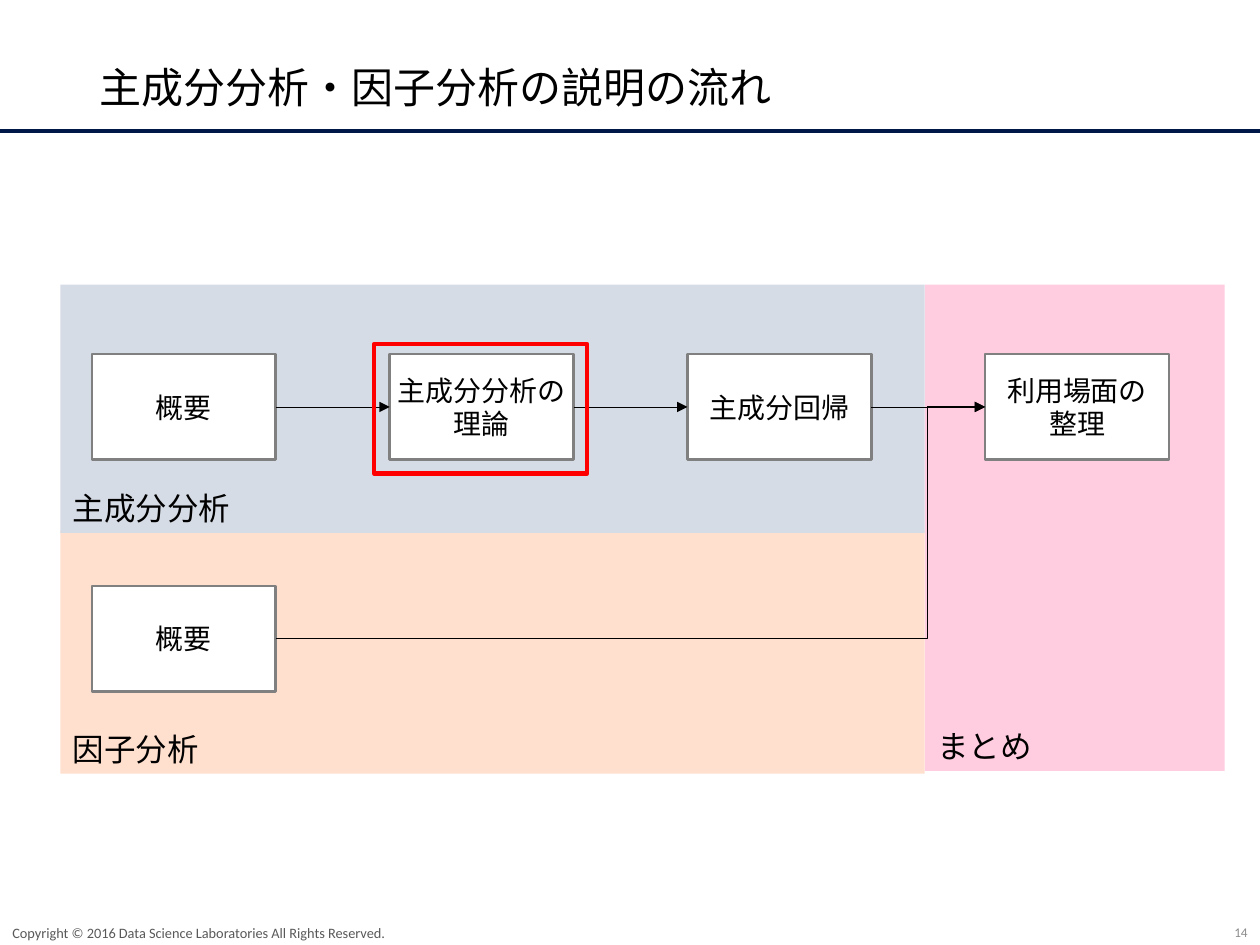
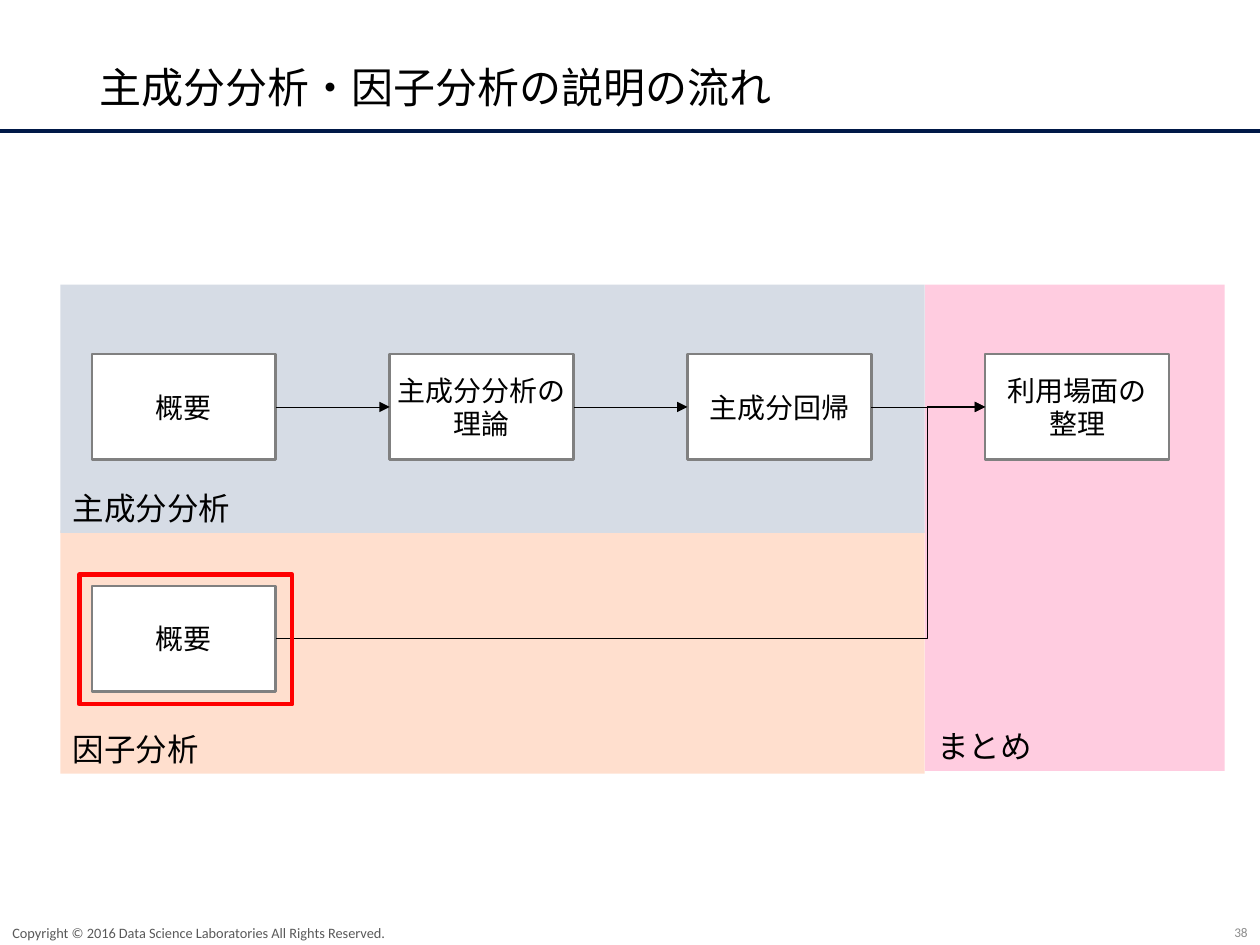
from lxml import etree
from pptx import Presentation
from pptx.dml.color import RGBColor
from pptx.enum.shapes import MSO_CONNECTOR, MSO_SHAPE
from pptx.enum.text import MSO_ANCHOR, PP_ALIGN
from pptx.oxml.ns import qn
from pptx.util import Inches, Pt

RECT = MSO_SHAPE.RECTANGLE
STRAIGHT, ELBOW = MSO_CONNECTOR.STRAIGHT, MSO_CONNECTOR.ELBOW
LEFT, CENTER, RIGHT = PP_ALIGN.LEFT, PP_ALIGN.CENTER, PP_ALIGN.RIGHT
MIDDLE, BOTTOM = MSO_ANCHOR.MIDDLE, MSO_ANCHOR.BOTTOM
LEFT_SIDE, RIGHT_SIDE = 1, 3

LATIN, ASIAN = "Calibri", "Noto Sans CJK JP"
BLACK, WHITE, GREY, RED = "000000", "FFFFFF", "808080", "FF0000"
NAVY, SLATE = "001847", "44546A"
PINK, PEACH, BLUE = "FFCCE0", "FFDFCE", "D6DCE5"
DIM, PALE = "595959", "8C8C8C"

TITLE = "主成分分析・因子分析の説明の流れ"
NOTICE = "Copyright © 2016 Data Science Laboratories All Rights Reserved."
BANDS = [
    ("因子分析", PEACH, (0.48, 4.21, 6.86, 1.93)),
    ("まとめ", PINK, (7.34, 2.26, 2.38, 3.86)),
    ("主成分分析", BLUE, (0.48, 2.26, 6.86, 1.97)),
]
STEPS = ["概要", "主成分分析の\n理論", "主成分回帰", "利用場面の\v整理"]
STEP_X, STEP_GAP = 0.73, 2.363
STEP_W, STEP_H = 1.46, 0.84
TOP_Y, LOW_Y = 2.81, 4.65


def color(code):
    """Turn a hex string into a colour."""
    return RGBColor.from_string(code)


def place(shape, area):
    """Move a shape to left, top, width and height in inches."""
    shape.left, shape.top, shape.width, shape.height = map(Inches, area)


def write(shape, text, size, ink=BLACK, align=LEFT, anchor=MIDDLE, face=LATIN, wrap=True):
    """Put styled text into a shape."""
    frame = shape.text_frame
    frame.text = text
    frame.word_wrap = wrap
    frame.vertical_anchor = anchor
    for para in frame.paragraphs:
        para.alignment = align
        for run in para.runs:
            run.font.size = Pt(size)
            run.font.name = face
            run.font.color.rgb = color(ink)
            etree.SubElement(run.font._element, qn("a:ea"), typeface=ASIAN)


def block(slide, area, fill=None, edge=None, width=1):
    """Draw a rectangle with an optional fill and outline."""
    shape = slide.shapes.add_shape(RECT, *map(Inches, area))
    shape.shadow.inherit = False
    if fill:
        shape.fill.solid()
        shape.fill.fore_color.rgb = color(fill)
    else:
        shape.fill.background()
    if edge:
        shape.line.color.rgb = color(edge)
        shape.line.width = Pt(width)
    else:
        shape.line.fill.background()
    return shape


def note(slide, area, text, size, ink, align=LEFT):
    """Add a small line of footer text."""
    box = slide.shapes.add_textbox(*map(Inches, area))
    write(box, text, size, ink, align)


def step(slide, x, y, text):
    """Draw one step of the flow."""
    box = block(slide, (x, y, STEP_W, STEP_H), WHITE, GREY, 1.5)
    write(box, text, 16, align=CENTER, wrap=False)
    return box


def arrow(slide, start, end, kind=STRAIGHT, bend=None):
    """Join two steps with an arrow, bent at a share of its width."""
    link = slide.shapes.add_connector(kind, 0, 0, 0, 0)
    link.begin_connect(start, RIGHT_SIDE)
    link.end_connect(end, LEFT_SIDE)
    link.line.color.rgb = color(BLACK)
    link.line.width = Pt(0.5)
    props = link._element.spPr
    etree.SubElement(props.find(qn("a:ln")), qn("a:tailEnd"), type="triangle")
    etree.SubElement(props, qn("a:effectLst"))
    if bend:
        guides = props.find(qn("a:prstGeom")).get_or_add_avLst()
        etree.SubElement(guides, qn("a:gd"), name="adj1", fmla=f"val {round(bend * 100000)}")


def base(deck, number):
    """Add a slide with the shared title, rule and footer."""
    slide = deck.slides.add_slide(deck.slide_layouts[5])
    block(slide, (0, 1.03, 10, 0.02), SLATE, NAVY)
    title = slide.shapes.title
    place(title, (0.69, 0.4, 8.62, 0.63))
    write(title, TITLE, 24, face=ASIAN)
    title.text_frame.paragraphs[0].line_spacing = 0.9
    note(slide, (7.75, 7.29, 2.25, 0.21), str(number), 7.6, PALE, RIGHT)
    note(slide, (0, 7.3, 6.24, 0.2), NOTICE, 8.2, DIM)
    return slide


def flow(slide):
    """Draw the bands, steps and arrows."""
    for text, fill, area in BANDS:
        write(block(slide, area, fill), text, 18, anchor=BOTTOM)
    steps = [step(slide, STEP_X + i * STEP_GAP, TOP_Y, text) for i, text in enumerate(STEPS)]
    factor = step(slide, STEP_X, LOW_Y, STEPS[0])
    for start, end in zip(steps, steps[1:]):
        arrow(slide, start, end)
    arrow(slide, factor, steps[-1], ELBOW, 0.918)


def main():
    """Build and save the deck."""
    deck = Presentation()
    deck.slide_width, deck.slide_height = Inches(10), Inches(7.5)
    for number, x, y in [(14, 2.97, 2.73), (38, 0.63, 4.56)]:
        slide = base(deck, number)
        flow(slide)
        block(slide, (x, y, 1.69, 1.03), edge=RED, width=2.5)
    deck.save("out.pptx")


if __name__ == "__main__":
    main()
